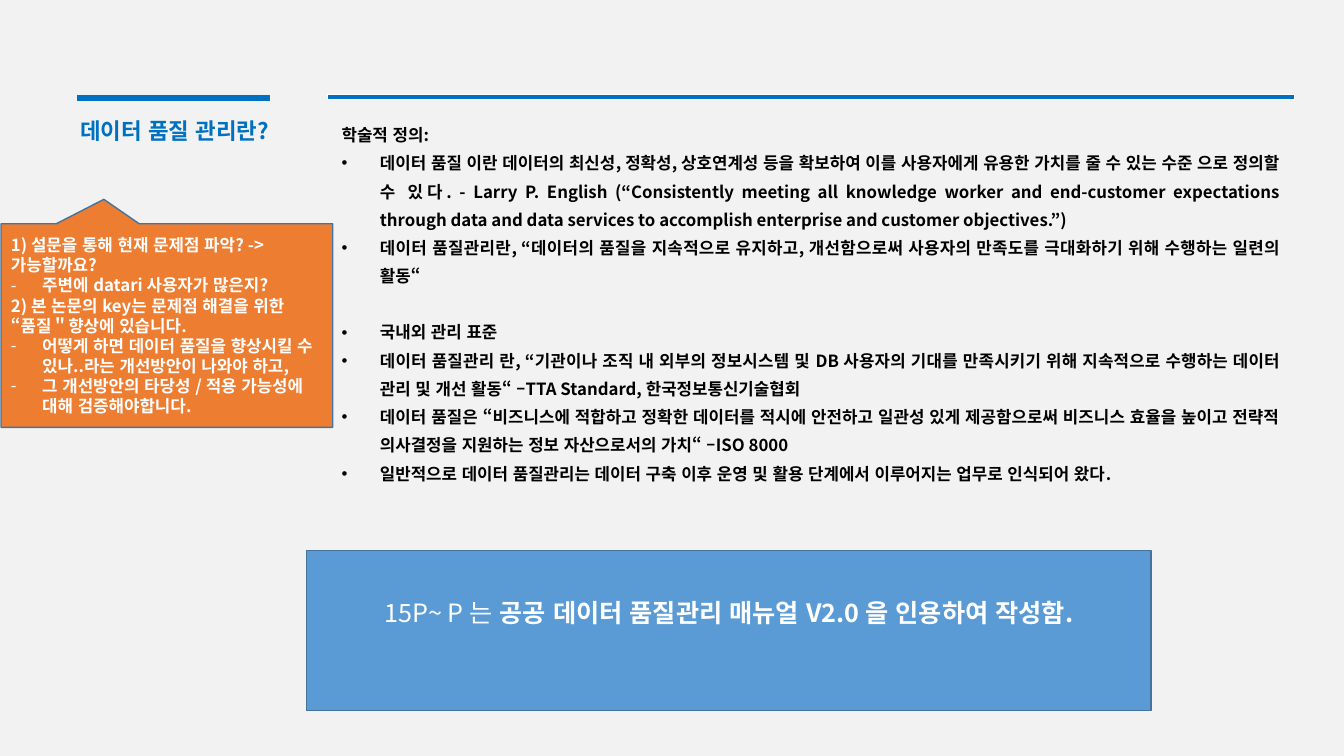
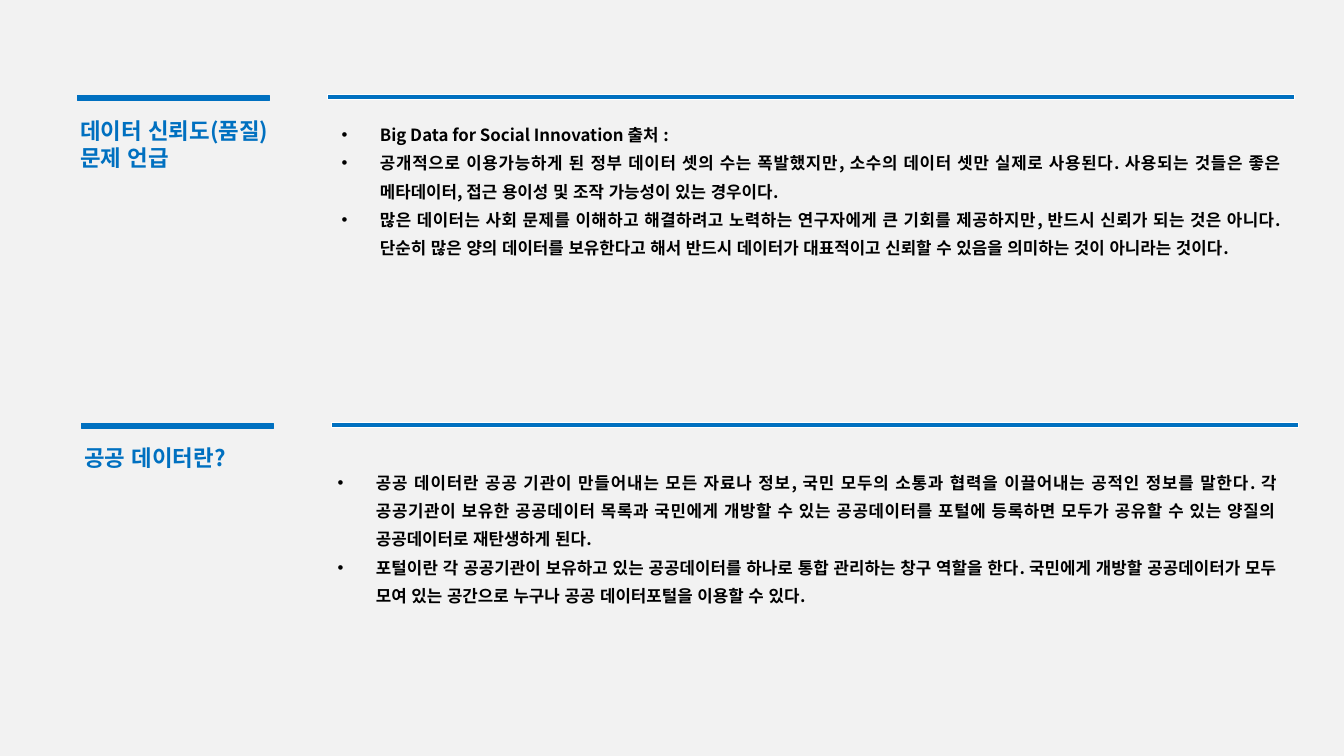
from lxml import etree
from pptx import Presentation
from pptx import util as u
from pptx.dml.color import RGBColor
from pptx.enum import lang, shapes, text
from pptx.oxml import ns

COLORS = {
    "page": "F2F2F2", "accent": "0070C0", "white": "FFFFFF", "black": "000000",
    "callout": "ED7D31", "note": "5B9BD5", "edge": "43739E",
}
FONT = "Noto Sans CJK KR"

# Text styles: font, paragraph and bullet values
HEADING = {"font": {"size": u.Pt(16), "bold": True}, "color": "accent"}
BODY = {
    "font": {"size": u.Pt(12), "bold": True}, "color": "black", "indent": 0.38,
    "paragraph": {"alignment": text.PP_ALIGN.JUSTIFY, "line_spacing": 1.4},
}
CALLOUT = {"font": {"size": u.Pt(12), "bold": True}, "color": "white", "indent": 0.31,
           "paragraph": {"alignment": text.PP_ALIGN.LEFT}}
NOTE = {"font": {"size": u.Pt(18)}, "color": "white",
        "paragraph": {"alignment": text.PP_ALIGN.CENTER}}


def rgb(name):
    return RGBColor.from_string(COLORS[name])


def apply(target, values):
    for name, value in values.items():
        setattr(target, name, value)


class Deck:
    """Holds the style and the current slide; places are percent of the slide."""

    def __init__(self):
        self.presentation = Presentation()
        apply(self.presentation, {"slide_width": u.Inches(13.33), "slide_height": u.Inches(7.5)})
        self.slide = None

    def new_slide(self):
        self.slide = self.presentation.slides.add_slide(self.presentation.slide_layouts[6])
        fill = self.slide.background.fill
        fill.solid()
        fill.fore_color.rgb = rgb("page")

    def place(self, left, top, width, height):
        across, down = self.presentation.slide_width, self.presentation.slide_height
        return [int(share * side / 100) for share, side in
                ((left, across), (top, down), (width, across), (height, down))]

    def box(self, at, fill, line, line_width=1, kind=shapes.MSO_SHAPE.RECTANGLE):
        shape = self.slide.shapes.add_shape(kind, *self.place(*at))
        shape.shadow.inherit = False
        shape.fill.solid()
        shape.fill.fore_color.rgb = rgb(fill)
        shape.line.color.rgb = rgb(line)
        shape.line.width = u.Pt(line_width)
        return shape

    def bullet(self, paragraph, mark, indent):
        properties = paragraph._p.get_or_add_pPr()
        properties.set("marL", str(u.Inches(indent)))
        properties.set("indent", str(-u.Inches(indent)))
        etree.SubElement(properties, ns.qn("a:buFont")).set("typeface", "Arial")
        etree.SubElement(properties, ns.qn("a:buChar")).set("char", mark)

    def add_paragraphs(self, shape, paragraphs, style, anchor=text.MSO_ANCHOR.TOP):
        """Each paragraph is (mark, runs, space before); each run is (words, bold)."""
        frame = shape.text_frame
        apply(frame, {"word_wrap": True, "vertical_anchor": anchor})
        for number, (mark, runs, space) in enumerate(paragraphs):
            paragraph = frame.add_paragraph() if number else frame.paragraphs[0]
            if mark:
                self.bullet(paragraph, mark, style["indent"])
            apply(paragraph, style.get("paragraph", {}))
            if space:
                paragraph.space_before = u.Pt(space)
            for words, bold in runs:
                run = paragraph.add_run()
                run.text = words
                apply(run.font, {**style["font"], "name": FONT, "bold": bold,
                                 "language_id": lang.MSO_LANGUAGE_ID.KOREAN})
                run.font.color.rgb = rgb(style["color"])
                east_asian = etree.SubElement(run.font._element, ns.qn("a:ea"))
                east_asian.set("typeface", FONT)

    def text_box(self, at, paragraphs, style):
        shape = self.slide.shapes.add_textbox(*self.place(*at))
        self.add_paragraphs(shape, paragraphs, style)
        shape.text_frame.auto_size = text.MSO_AUTO_SIZE.SHAPE_TO_FIT_TEXT

    def section(self, left, top, title, title_height, body_at, body):
        """Two bars, a heading at the left and a body at the right."""
        self.box((left, top, 14.25, 0.67), "accent", "accent", 0.75)
        self.text_box((left - 0.53, top + 2.13, 18.3, title_height), [plain(title)], HEADING)
        self.box((left + 18.6, top - 0.14, 71.93, 0.67), "accent", "white", 0.75)
        self.text_box(body_at, body, BODY)

    def callout(self, at, tip, paragraphs):
        shape = self.box(at, "callout", "edge", kind=shapes.MSO_SHAPE.RECTANGULAR_CALLOUT)
        for number, value in enumerate(tip):
            shape.adjustments[number] = value
        self.add_paragraphs(shape, paragraphs, CALLOUT, text.MSO_ANCHOR.MIDDLE)

    def note(self, at, runs):
        shape = self.box(at, "note", "edge")
        self.add_paragraphs(shape, [("", runs, 0)], NOTE, text.MSO_ANCHOR.MIDDLE)
        shape.text_frame.margin_bottom = u.Inches(0.41)


def plain(words):
    return "", [(words, True)], 0


def item(words, mark="•", space=0):
    return mark, [(words, True)], space


def main():
    deck = Deck()

    # Slide 1: what data quality management is
    deck.new_slide()
    deck.section(5.78, 12.67, "데이터 품질 관리란?", 4.93, (24.68, 14.8, 71.33, 57.87), [
        plain("학술적 정의:"),
        item("데이터 품질 이란 데이터의 최신성, 정확성, 상호연계성 등을 확보하여 이를 사용자에게 "
             "유용한 가치를 줄 수 있는 수준 으로 정의할 수 있다. - Larry P. English "
             "(“Consistently meeting all knowledge worker and end-customer expectations "
             "through data and data services to accomplish enterprise and customer objectives.”)"),
        item("데이터 품질관리란, “데이터의 품질을 지속적으로 유지하고, 개선함으로써 사용자의 "
             "만족도를 극대화하기 위해 수행하는 일련의 활동“"),
        item("국내외 관리 표준", space=20),
        item("데이터 품질관리 란, “기관이나 조직 내 외부의 정보시스템 및 DB 사용자의 기대를 "
             "만족시키기 위해 지속적으로 수행하는 데이터 관리 및 개선 활동“ –TTA Standard, "
             "한국정보통신기술협회"),
        item("데이터 품질은 “비즈니스에 적합하고 정확한 데이터를 적시에 안전하고 일관성 있게 "
             "제공함으로써 비즈니스 효율을 높이고 전략적 의사결정을 지원하는 정보 자산으로서의 "
             "가치“ –ISO 8000"),
        item("일반적으로 데이터 품질관리는 데이터 구축 이후 운영 및 활용 단계에서 이루어지는 "
             "업무로 인식되어 왔다."),
    ])
    deck.callout((0.08, 29.6, 24.68, 26.93), (-0.19, -0.62), [
        plain("1) 설문을 통해 현재 문제점 파악? -> 가능할까요?"),
        item("주변에 datari 사용자가 많은지?", "-"),
        plain("2) 본 논문의 key는 문제점 해결을 위한 “품질＂향상에 있습니다."),
        item("어떻게 하면 데이터 품질을 향상시킬 수 있나..라는 개선방안이 나와야 하고,", "-"),
        item("그 개선방안의 타당성 / 적용 가능성에 대해 검증해야합니다.", "-"),
    ])
    deck.note((22.8, 72.8, 62.85, 21.2), [
        ("15P~ P 는 ", False),
        ("공공 데이터 품질관리 매뉴얼 V2.0 을 인용하여 작성함.", True),
    ])

    # Slide 2: data reliability and public data
    deck.new_slide()
    deck.section(5.78, 12.67, "데이터 신뢰도(품질) 문제 언급", 8.53, (24.68, 14.8, 71.33, 31.47), [
        item("Big Data for Social Innovation 출처 :"),
        item("공개적으로 이용가능하게 된 정부 데이터 셋의 수는 폭발했지만, 소수의 데이터 셋만 실제로 "
             "사용된다. 사용되는 것들은 좋은 메타데이터, 접근 용이성 및 조작 가능성이 있는 경우이다."),
        item("많은 데이터는 사회 문제를 이해하고 해결하려고 노력하는 연구자에게 큰 기회를 제공하지만, "
             "반드시 신뢰가 되는 것은 아니다. 단순히 많은 양의 데이터를 보유한다고 해서 반드시 "
             "데이터가 대표적이고 신뢰할 수 있음을 의미하는 것이 아니라는 것이다."),
    ])
    deck.section(6.08, 56, "공공 데이터란?", 4.93, (24.38, 60.8, 71.33, 20.13), [
        item("공공 데이터란 공공 기관이 만들어내는 모든 자료나 정보, 국민 모두의 소통과 협력을 "
             "이끌어내는 공적인 정보를 말한다. 각 공공기관이 보유한 공공데이터 목록과 국민에게 개방할 "
             "수 있는 공공데이터를 포털에 등록하면 모두가 공유할 수 있는 양질의 공공데이터로 "
             "재탄생하게 된다."),
        item("포털이란 각 공공기관이 보유하고 있는 공공데이터를 하나로 통합 관리하는 창구 역할을 "
             "한다. 국민에게 개방할 공공데이터가 모두 모여 있는 공간으로 누구나 공공 데이터포털을 "
             "이용할 수 있다."),
    ])

    deck.presentation.save("out.pptx")


if __name__ == "__main__":
    main()
